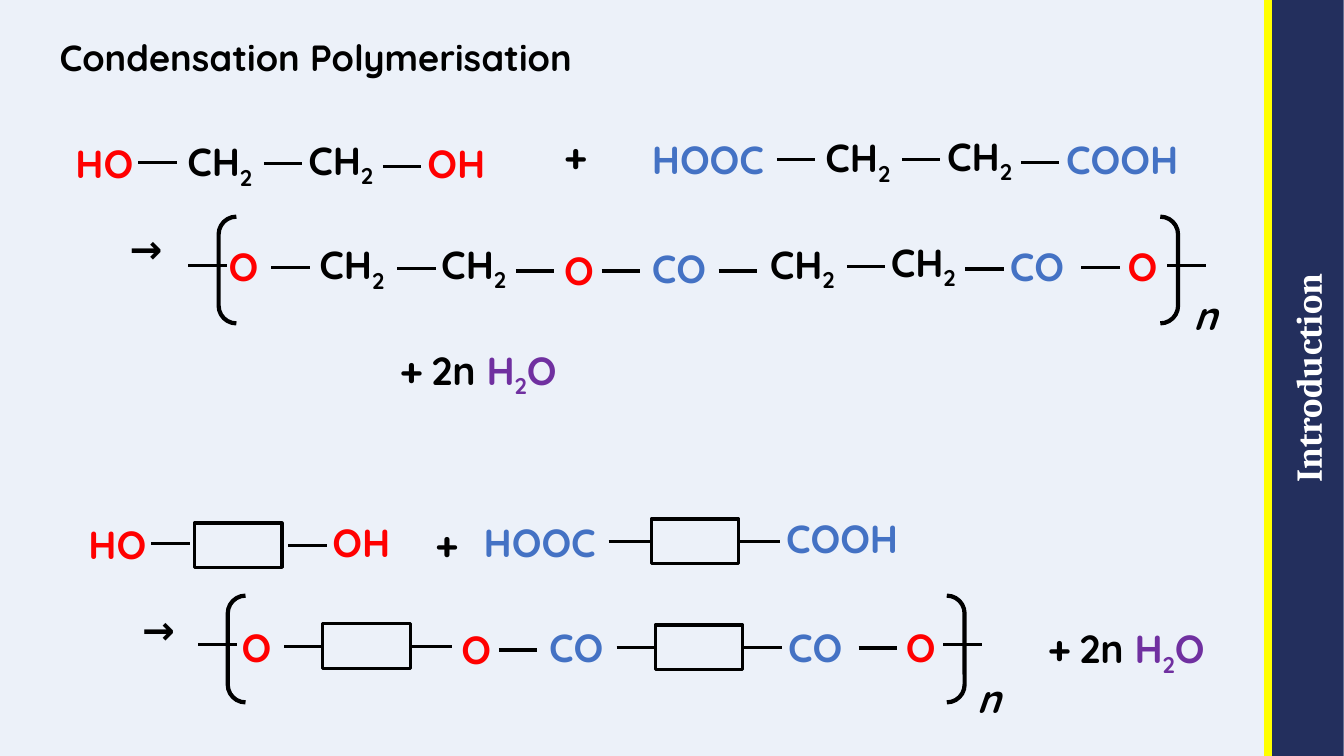
from lxml.etree import SubElement
from pptx import Presentation
from pptx.dml.color import RGBColor
from pptx.enum.shapes import MSO_CONNECTOR, MSO_SHAPE
from pptx.enum.text import MSO_ANCHOR, PP_ALIGN
from pptx.oxml.ns import qn
from pptx.util import Cm, Pt

COLOURS = {
    "background": "ECF1F9", "sidebar": "232F5D", "edge": "FFFF00",
    "white": "FFFFFF", "black": "000000", "alcohol": "FF0000",
    "acid": "4472C4", "water": "7030A0",
}
TITLE_FONT = {"name": "Quicksand", "size": Pt(26), "bold": True}
FORMULA_FONT = {"name": "Quicksand", "size": Pt(28), "bold": True}
SIDEBAR_FONT = {"name": "Cambria", "size": Pt(26), "bold": True}
NO_MARGINS = {"margin_left": 0, "margin_right": 0, "margin_top": 0, "margin_bottom": 0}
BOND_LENGTH = 0.97


def add_span(para, text, font_format, colour):
    span = para.add_run()
    span.text = text
    for name, value in font_format.items():
        setattr(span.font, name, value)
    span.font.color.rgb = RGBColor.from_string(COLOURS[colour])
    return span


def add_line(start_x, start_y, end_x, end_y, colour="black", width=2.25):
    line = page.shapes.add_connector(
        MSO_CONNECTOR.STRAIGHT, Cm(start_x), Cm(start_y), Cm(end_x), Cm(end_y))
    line.line.color.rgb = RGBColor.from_string(COLOURS[colour])
    line.line.width = Pt(width)
    SubElement(line._element.spPr, qn("a:effectLst"))
    return line


deck = Presentation()
deck.slide_width, deck.slide_height = Cm(33.87), Cm(19.05)
page = deck.slides.add_slide(deck.slide_layouts[5])
page.background.fill.solid()
page.background.fill.fore_color.rgb = RGBColor.from_string(COLOURS["background"])

# Sidebar with the chapter name, turned to read upwards
sidebar = page.shapes.add_shape(
    MSO_SHAPE.RECTANGLE, Cm(23.42), Cm(8.61), Cm(19.05), Cm(1.83))
sidebar.rotation = 270
sidebar.shadow.inherit = False
sidebar.fill.solid()
sidebar.fill.fore_color.rgb = RGBColor.from_string(COLOURS["sidebar"])
sidebar.line.fill.background()
para = sidebar.text_frame.paragraphs[0]
para.alignment = PP_ALIGN.CENTER
add_span(para, "Introduction", SIDEBAR_FONT, "white")
add_line(31.95, 0, 31.95, 19.05, "edge", 6)

# Title
title = page.shapes.title
title.left, title.top, title.width, title.height = Cm(1.5), Cm(0), Cm(29.49), Cm(2.01)
title.text_frame.vertical_anchor = MSO_ANCHOR.BOTTOM
para = title.text_frame.paragraphs[0]
para.alignment = PP_ALIGN.LEFT
para.line_spacing = 0.9
add_span(para, "Condensation Polymerisation", TITLE_FONT, "black")

for frame in (sidebar.text_frame, title.text_frame):
    frame.word_wrap = True
    for name, value in NO_MARGINS.items():
        setattr(frame, name, value)

# Groups: width, spans as (text, colour, extra format), places as (left, top)
groups = [
    (2.64, [("CH", "black", {}), ("2", "black", {"subscript": True})],
     [(4.47, 3.33), (7.52, 3.3), (20.55, 3.23), (23.62, 3.2),
      (7.8, 5.94), (10.87, 5.92), (19.15, 5.92), (22.2, 5.87)]),
    (2.16, [("HO", "alcohol", {})], [(1.65, 3.38), (1.98, 12.98)]),
    (2.36, [("OH", "alcohol", {})], [(10.52, 3.38), (8.13, 12.93)]),
    (3.71, [("HOOC", "acid", {})], [(16.18, 3.28), (11.94, 12.93)]),
    (3.86, [("COOH", "acid", {})], [(26.62, 3.28), (19.56, 12.83)]),
    (1.5, [("O", "alcohol", {})],
     [(5.51, 5.97), (13.97, 6.07), (28.17, 5.97),
      (5.84, 15.57), (11.38, 15.62), (22.58, 15.57)]),
    (2.26, [("CO", "acid", {})],
     [(16.18, 6.02), (25.2, 5.97), (13.59, 15.57), (19.61, 15.57)]),
    (1.45, [("+", "black", {})],
     [(13.97, 3.2), (9.83, 8.59), (10.72, 12.98), (26.16, 15.6)]),
    (1.45, [("→", "black", {})], [(3.02, 5.54), (3.33, 15.14)]),
    (1.7, [("n", "black", {"italic": True})], [(29.82, 7.21), (24.36, 16.87)]),
    (4.5, [("2n", "black", {}), (" H", "water", {}),
           ("2", "water", {"subscript": True}), ("O", "water", {})],
     [(10.62, 8.59), (26.95, 15.6)]),
]
for width, spans, places in groups:
    for left, top in places:
        box = page.shapes.add_textbox(Cm(left), Cm(top), Cm(width), Cm(1.5))
        box.text_frame.word_wrap = True
        para = box.text_frame.paragraphs[0]
        for text, colour, extra in spans:
            font_format = {**FORMULA_FONT, "italic": extra.get("italic")}
            span = add_span(para, text, font_format, colour)
            if extra.get("subscript"):
                span._r.get_or_add_rPr().set("baseline", "-25000")

# Free bonds: left end and height
bonds = [
    (3.48, 4.09), (6.65, 4.11), (9.65, 4.19), (19.58, 4.01), (22.73, 4.01), (25.73, 4.09),
    (4.75, 6.68), (6.83, 6.73), (10.01, 6.76), (13, 6.83), (15.16, 6.83), (18.11, 6.83),
    (21.34, 6.71), (24.33, 6.78), (27.25, 6.73), (29.41, 6.68),
    (3.81, 13.69), (7.26, 13.74),
    (5, 16.23), (12.57, 16.38), (21.64, 16.33), (23.77, 16.23),
]
for left, height in bonds:
    add_line(left, height, left + BOND_LENGTH, height)

# Carbon chains drawn as boxes, with the outer ends of the bonds joined to them
chain_width, chain_height = 2.21, 1.12
chains = [
    (4.9, 13.18, None), (16.41, 13.08, (15.34, 19.66)),
    (8.13, 15.72, (7.16, 11.38)), (16.51, 15.75, (15.54, 19.71)),
]
for left, top, bond_ends in chains:
    chain = page.shapes.add_shape(
        MSO_SHAPE.RECTANGLE, Cm(left), Cm(top), Cm(chain_width), Cm(chain_height))
    chain.shadow.inherit = False
    chain.fill.background()
    chain.line.color.rgb = RGBColor.from_string(COLOURS["black"])
    chain.line.width = Pt(2.25)
    if bond_ends:
        middle = top + chain_height / 2
        add_line(bond_ends[0], middle, left, middle).end_connect(chain, 1)
        add_line(left + chain_width, middle, bond_ends[1], middle).begin_connect(chain, 3)

# Brackets around the repeat units
for left, top, width in [(5.51, 5.46, 24.18), (5.74, 15.01, 18.57)]:
    bracket = page.shapes.add_shape(
        MSO_SHAPE.DOUBLE_BRACKET, Cm(left), Cm(top), Cm(width), Cm(2.69))
    bracket.shadow.inherit = False
    bracket.fill.background()
    bracket.line.color.rgb = RGBColor.from_string(COLOURS["black"])
    bracket.line.width = Pt(3)

deck.save("out.pptx")
